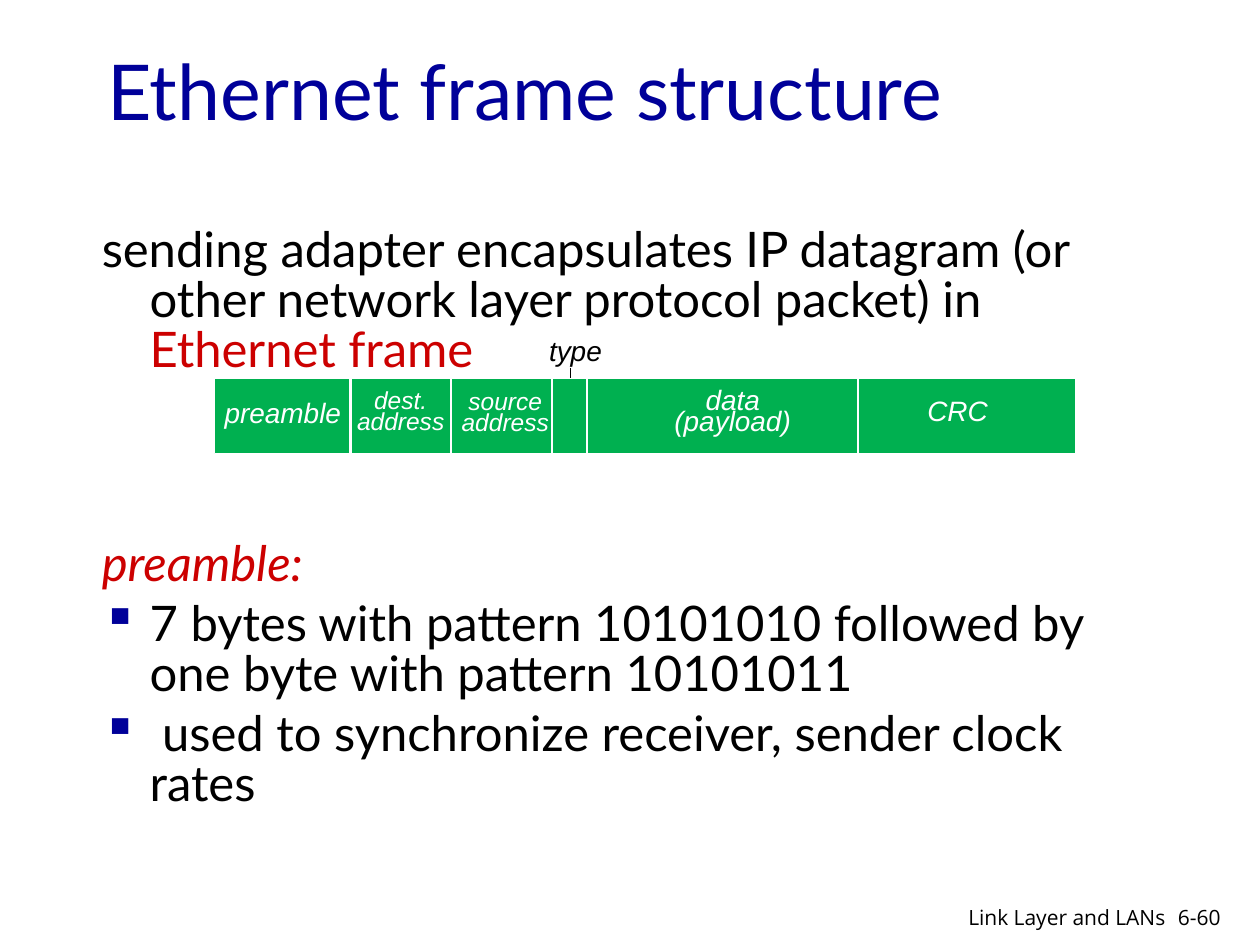
import pptx
import pptx.util
import pptx.dml.color
import pptx.enum.text
import pptx.enum.shapes
import pptx.oxml.ns
import lxml.etree

Inch = pptx.util.Inches
Pt = pptx.util.Pt
Align = pptx.enum.text.PP_ALIGN
qn = pptx.oxml.ns.qn
hues = {"navy": "000099", "red": "CC0000", "black": "000000",
        "green": "00B050", "white": "FFFFFF"}

deck = pptx.Presentation()
deck.slide_width, deck.slide_height = Inch(10), Inch(7.5)
slide = deck.slides.add_slide(deck.slide_layouts[5])
shapes = slide.shapes


def hue(name):
    return pptx.dml.color.RGBColor.from_string(hues[name])


def write(para, text, size, face, tone, slant=False):
    run = para.add_run()
    run.text = text
    run.font.size = Pt(size)
    run.font.name = face
    run.font.italic = slant
    run.font.color.rgb = hue(tone)


title = shapes.title
title.left, title.top, title.width, title.height = map(Inch, (0.75, 0.38, 8.5, 0.67))
frame = title.text_frame
frame.word_wrap = True
frame.auto_size = pptx.enum.text.MSO_AUTO_SIZE.NONE
frame.vertical_anchor = pptx.enum.text.MSO_ANCHOR.MIDDLE
frame.paragraphs[0].alignment = Align.LEFT
write(frame.paragraphs[0], "Ethernet frame structure", 44, "Lato", "navy")

body = [
    (5.6, False, [("sending adapter encapsulates IP datagram (or other network layer protocol packet) in ", "black", False),
                  ("Ethernet frame", "red", False)]),
    (93.5, False, [("preamble:", "red", True)]),
    (5.6, True, [("7 bytes with pattern 10101010 followed by one byte with pattern 10101011", "black", False)]),
    (5.6, True, [(" used to synchronize receiver, sender clock rates", "black", False)]),
]
frame = shapes.add_textbox(*map(Inch, (0.71, 1.76, 8.5, 4.75))).text_frame
frame.word_wrap = True
for row, (gap, dot, runs) in enumerate(body):
    para = frame.add_paragraph() if row else frame.paragraphs[0]
    para.line_spacing = 0.85
    para.space_before = Pt(gap)
    props = para._p.get_or_add_pPr()
    props.set("marL", str(Inch(0.38)))
    props.set("indent", str(-Inch(0.38)))
    if dot:
        tint = lxml.etree.SubElement(props, qn("a:buClr"))
        lxml.etree.SubElement(tint, qn("a:srgbClr")).set("val", hues["navy"])
        lxml.etree.SubElement(props, qn("a:buChar")).set("char", "▪")
    else:
        lxml.etree.SubElement(props, qn("a:buNone"))
    for text, tone, slant in runs:
        write(para, text, 28, "Lato", tone, slant)

top, base = 3, 3.6
bar = shapes.add_shape(pptx.enum.shapes.MSO_SHAPE.RECTANGLE,
                       Inch(1.7), Inch(top), Inch(6.84), Inch(base - top))
bar.shadow.inherit = False
bar.fill.solid()
bar.fill.fore_color.rgb = hue("green")
bar.line.color.rgb = hue("white")
bar.line.width = Pt(0.75)

rules = [(x, top, base, "white", 1.5) for x in (2.78, 3.58, 4.38, 4.66, 6.81)]
rules.append((4.53, 2.92, top, "black", 0.75))
for x, start, end, tone, thick in rules:
    rule = shapes.add_connector(pptx.enum.shapes.MSO_CONNECTOR.STRAIGHT,
                                Inch(x), Inch(start), Inch(x), Inch(end))
    rule.line.color.rgb = hue(tone)
    rule.line.width = Pt(thick)
    lxml.etree.SubElement(rule._element.spPr, qn("a:effectLst"))

center, left, right = Align.CENTER, Align.LEFT, Align.RIGHT
labels = [
    (2.72, 3.07, 0.92, 0.45, ["dest.", "address"], 14, "Arial", "white", center),
    (3.55, 3.08, 0.92, 0.45, ["source", "address"], 14, "Arial", "white", center),
    (5.06, 3.09, 1.51, 0.45, ["data (payload)"], 16, "Arial", "white", center),
    (7.13, 3.17, 0.94, 0.29, ["CRC"], 16, "Arial", "white", center),
    (1.66, 3.19, 1.17, 0.29, ["preamble"], 16, "Arial", "white", center),
    (4.26, 2.6, 0.84, 0.37, ["type"], 16, "Arial", "black", left),
    (9.25, 7.13, 0.6, 0.3, ["6-60"], 12, "Open Sans", "black", left),
    (6.97, 7.13, 2.38, 0.26, ["Link Layer and LANs"], 12, "Open Sans", "black", right),
]
for x, y, wide, high, lines, size, face, tone, side in labels:
    frame = shapes.add_textbox(Inch(x), Inch(y), Inch(wide), Inch(high)).text_frame
    frame.word_wrap = True
    for row, text in enumerate(lines):
        para = frame.add_paragraph() if row else frame.paragraphs[0]
        para.alignment = side
        if side == center:
            para.line_spacing = Pt(12)
        write(para, text, size, face, tone, face == "Arial")

deck.save("out.pptx")
